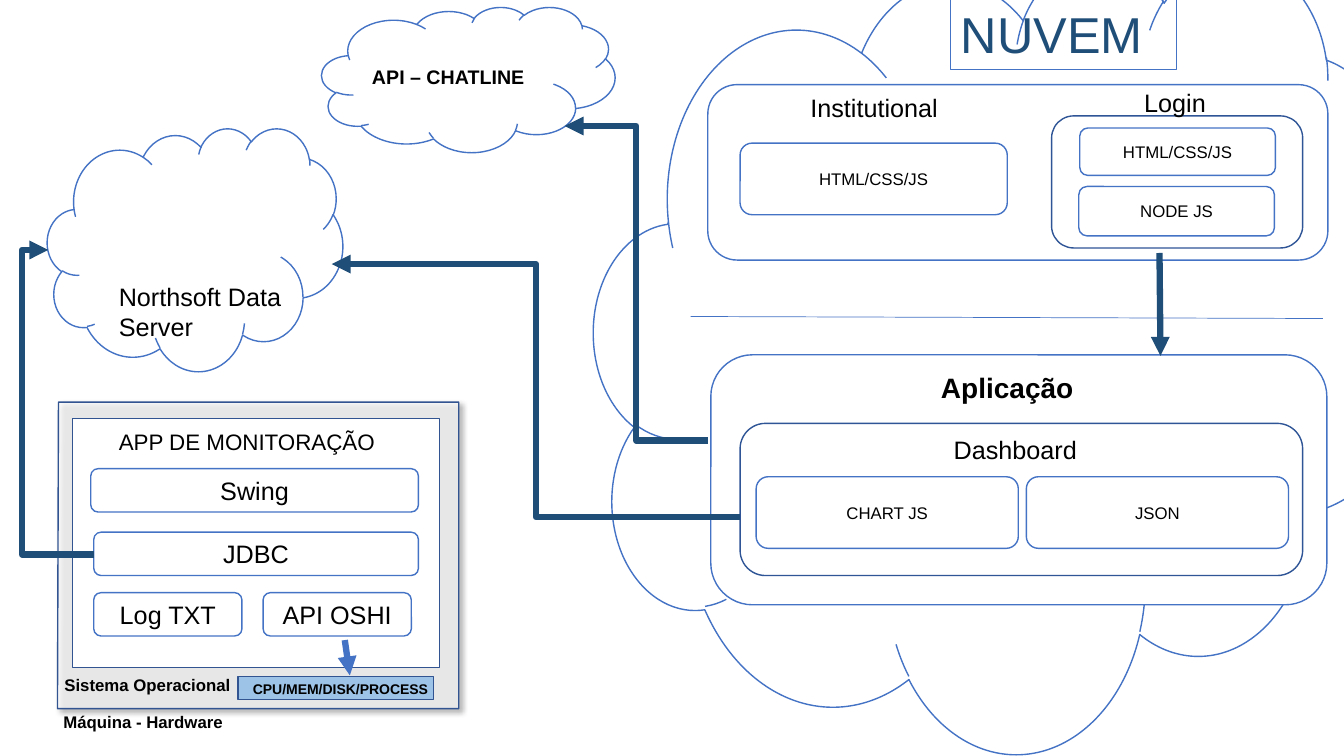
from lxml.etree import SubElement
from pptx import Presentation
from pptx.dml.color import RGBColor
from pptx.enum.shapes import MSO_CONNECTOR, MSO_SHAPE
from pptx.enum.text import MSO_ANCHOR, MSO_AUTO_SIZE, PP_ALIGN
from pptx.oxml.ns import qn
from pptx.util import Inches, Pt

THEME = {
    "font": "Arial",
    "white": "FFFFFF", "black": "000000", "blue": "4472C4", "royal": "2F5597",
    "steel": "325491", "navy": "1F4E79", "sky": "9DC3E6",
    "tiny": 10, "small": 12, "cloud": 14, "app": 16, "body": 18, "head": 20, "title": 36,
    "edge": 1, "fine": 0.75, "hair": 0.5, "wire": 4.5,
}

# left, top, width, height, shape, line colour, fill colour
PANELS = [
    (5.89, -0.42, 8.19, 7.88, "CLOUD", "blue", "white"),
    (7.05, 3.52, 6.11, 2.48, "ROUNDED_RECTANGLE", "blue", "white"),
    (7.34, 4.2, 5.58, 1.51, "ROUNDED_RECTANGLE", "royal", "white"),
    (7.02, 0.84, 6.15, 1.74, "ROUNDED_RECTANGLE", "blue", "white"),
    (10.43, 1.15, 2.49, 1.31, "ROUNDED_RECTANGLE", "royal", "white"),
    (0.47, 1.27, 2.93, 2.41, "CLOUD", "blue", "white"),
    (0.72, 4.15, 3.64, 2.47, "RECTANGLE", "steel", "white"),
    (2.36, 6.71, 1.94, 0.23, "RECTANGLE", "steel", "sky"),
]
MACHINE = [(0.58, 3.99), (4.55, 3.99), (4.55, 7.03), (0.57, 7.03)]

# text, left, top, width, height, size
CARDS = [
    ("Swing", 0.9, 4.65, 3.25, 0.43, "body"),
    ("JDBC", 0.93, 5.28, 3.22, 0.43, "body"),
    ("Log TXT", 0.93, 5.88, 1.47, 0.43, "body"),
    ("API OSHI", 2.61, 5.88, 1.47, 0.43, "body"),
    ("HTML/CSS/JS", 7.34, 1.42, 2.65, 0.71, "small"),
    ("HTML/CSS/JS", 10.71, 1.27, 1.94, 0.47, "small"),
    ("NODE JS", 10.7, 1.85, 1.94, 0.49, "small"),
    ("CHART JS", 7.5, 4.73, 2.6, 0.71, "small"),
    ("JSON", 10.18, 4.73, 2.6, 0.71, "small"),
]

# text, left, top, width, height, size, bold, alignment
LABELS = [
    ("Máquina - Hardware", 0.53, 7.01, 2.39, 0.3, "small", True, "LEFT"),
    ("Sistema Operacional", 0.54, 6.64, 2.39, 0.3, "small", True, "LEFT"),
    ("CPU/MEM/DISK/PROCESS", 2.41, 6.7, 2.1, 0.27, "tiny", True, "LEFT"),
    ("APP DE MONITORAÇÃO", 1.08, 4.2, 2.93, 0.37, "app", False, "LEFT"),
    ("Northsoft Data Server", 1.08, 2.74, 1.94, 0.71, "body", False, "LEFT"),
    ("Dashboard", 9.36, 4.26, 1.44, 0.71, "body", False, "LEFT"),
    ("Login", 11.25, 0.82, 1.17, 0.4, "body", False, "LEFT"),
    ("Aplicação", 8.47, 3.63, 3.04, 0.44, "head", True, "CENTER"),
    ("Institutional", 7.47, 0.87, 2.4, 0.4, "body", False, "CENTER"),
]

# start, end, colour, width, arrowhead, elbow position (None for a straight line)
WIRES = [
    ((6.85, 3.14), (13.12, 3.16), "blue", "hair", False, None),
    ((3.42, 6.35), (3.47, 6.7), "blue", "wire", True, None),
    ((11.5, 2.51), (11.51, 3.53), "navy", "wire", True, None),
    ((7.34, 5.13), (3.29, 2.62), "navy", "wire", True, 0.5),
    ((0.93, 5.5), (0.48, 2.48), "navy", "wire", True, 1.58),
    ((7.02, 4.37), (5.6, 1.25), "navy", "wire", True, 0.5),
]


def color(name):
    return RGBColor.from_string(THEME[name])


def paint(shape, line, fill=None, width="edge"):
    shape.shadow.inherit = False
    if fill:
        shape.fill.solid()
        shape.fill.fore_color.rgb = color(fill)
    else:
        shape.fill.background()
    shape.line.color.rgb = color(line)
    shape.line.width = Pt(THEME[width])


def write(shape, text, size, bold=False, align="LEFT", anchor="TOP", ink="black", grow=False):
    frame = shape.text_frame
    frame.word_wrap = True
    frame.vertical_anchor = MSO_ANCHOR[anchor]
    if grow:
        frame.auto_size = MSO_AUTO_SIZE.SHAPE_TO_FIT_TEXT
    para = frame.paragraphs[0]
    para.alignment = PP_ALIGN[align]
    run = para.add_run()
    run.text = text
    look = {"name": THEME["font"], "size": Pt(THEME[size]), "bold": bold}
    for key, value in look.items():
        setattr(run.font, key, value)
    run.font.color.rgb = color(ink)


def add_box(slide, kind, box):
    return slide.shapes.add_shape(MSO_SHAPE[kind], *map(Inches, box))


def add_machine(slide):
    """Draw the see-through machine outline with its soft shadow."""
    points = [(Inches(x), Inches(y)) for x, y in MACHINE]
    pen = slide.shapes.build_freeform(*points[0])
    pen.add_line_segments(points[1:], close=True)
    shape = pen.convert_to_shape()
    paint(shape, "steel", "white")
    props = shape._element.spPr
    tint = props.find(qn("a:solidFill")).find(qn("a:srgbClr"))
    SubElement(tint, qn("a:alpha"), val="65000")
    shade = SubElement(props.find(qn("a:effectLst")), qn("a:outerShdw"),
                       blurRad=str(Pt(4)), dist=str(Pt(3)), dir="2700000",
                       algn="tl", rotWithShape="0")
    tone = SubElement(shade, qn("a:srgbClr"), val=THEME["black"])
    SubElement(tone, qn("a:alpha"), val="40000")


def add_wire(slide, start, end, ink, width, arrow, bend):
    kind = MSO_CONNECTOR.STRAIGHT if bend is None else MSO_CONNECTOR.ELBOW
    wire = slide.shapes.add_connector(kind, *map(Inches, start + end))
    wire.line.color.rgb = color(ink)
    wire.line.width = Pt(THEME[width])
    props = wire._element.spPr
    if arrow:
        SubElement(props.find(qn("a:ln")), qn("a:tailEnd"), type="triangle")
    if bend is not None:
        guides = props.find(qn("a:prstGeom")).find(qn("a:avLst"))
        SubElement(guides, qn("a:gd"), name="adj1", fmla=f"val {round(bend * 100000)}")
    SubElement(props, qn("a:effectLst"))


def main():
    deck = Presentation()
    deck.slide_width, deck.slide_height = Inches(13.33), Inches(7.5)
    slide = deck.slides.add_slide(deck.slide_layouts[6])

    for index, (*box, kind, line, fill) in enumerate(PANELS):
        if index == len(PANELS) - 2:
            add_machine(slide)
        paint(add_box(slide, kind, box), line, fill)

    title = add_box(slide, "RECTANGLE", (9.43, -0.02, 2.24, 0.71))
    paint(title, "blue", width="fine")
    write(title, "NUVEM", "title", ink="navy", grow=True)

    chat = add_box(slide, "CLOUD", (3.19, 0.07, 2.91, 1.44))
    paint(chat, "blue", "white")
    write(chat, "API – CHATLINE", "cloud", bold=True, anchor="MIDDLE")

    for text, *box, size in CARDS:
        card = add_box(slide, "ROUNDED_RECTANGLE", box)
        paint(card, "blue", "white")
        write(card, text, size, align="CENTER", anchor="MIDDLE")

    for text, *box, size, bold, align in LABELS:
        label = slide.shapes.add_textbox(*map(Inches, box))
        write(label, text, size, bold, align, grow=True)

    for wire in WIRES:
        add_wire(slide, *wire)

    deck.save("out.pptx")


if __name__ == "__main__":
    main()
